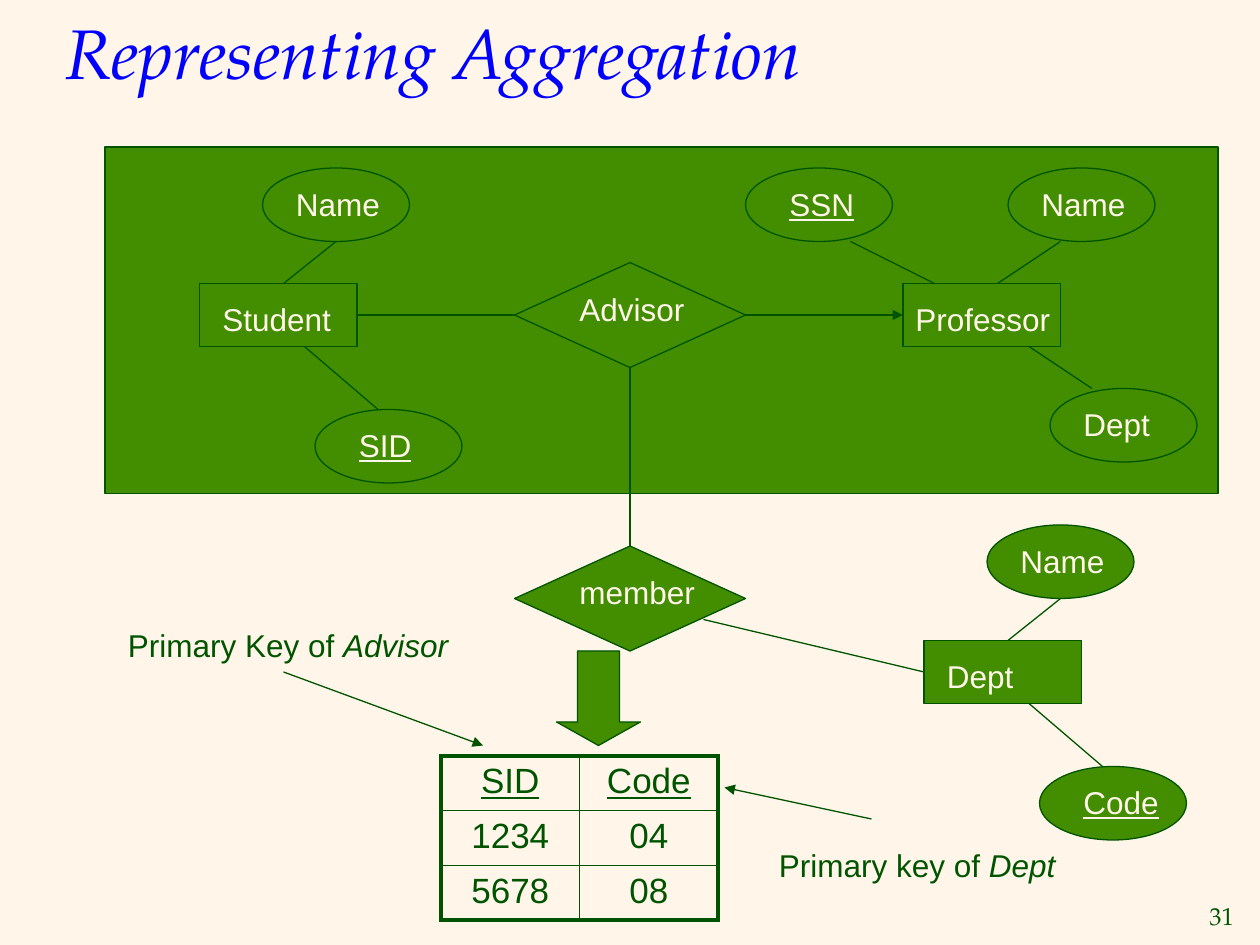
import pptx
import pptx.util
import pptx.dml.color
import pptx.enum.shapes
import pptx.enum.text
import pptx.oxml.ns
from lxml import etree

SCALE = 914400 // 120
CREAM, LEAF, DARK, BLUE = "FFF6E9", "438E00", "005400", "0000FF"
SHAPE = pptx.enum.shapes.MSO_SHAPE
ALIGN = pptx.enum.text.PP_ALIGN
MIDDLE = pptx.enum.text.MSO_ANCHOR.MIDDLE
ELLIPSE_W, ELLIPSE_H = 140, 70
ENTITY_W, ENTITY_H = 150, 60
DIAMOND_W, DIAMOND_H = 220, 100


def px(*values):
    return [pptx.util.Emu(v * SCALE) for v in values]


def rgb(value):
    return pptx.dml.color.RGBColor.from_string(value)


def add_run(p, text, size=18, color=CREAM, **fmt):
    r = p.add_run()
    r.text = text
    r.font.color.rgb = rgb(color)
    for name, value in {"name": "Arial", "size": pptx.util.Pt(size), **fmt}.items():
        setattr(r.font, name, value)


def add_label(s, x, y, w, text, h=48, **fmt):
    tf = s.shapes.add_textbox(*px(x, y, w, h)).text_frame
    tf.word_wrap = True
    add_run(tf.paragraphs[0], text, **fmt)
    return tf


def add_shape(s, kind, x, y, w, h):
    sp = s.shapes.add_shape(kind, *px(x, y, w, h))
    sp.shadow.inherit = False
    sp.fill.solid()
    sp.fill.fore_color.rgb = rgb(LEAF)
    sp.line.color.rgb = rgb(DARK)
    sp.line.width = pptx.util.Pt(0.75)
    return sp


def add_line(s, x1, y1, x2, y2, arrow=False):
    cx = s.shapes.add_connector(
        pptx.enum.shapes.MSO_CONNECTOR.STRAIGHT, *px(x1, y1, x2, y2))
    cx.line.color.rgb = rgb(DARK)
    cx.line.width = pptx.util.Pt(0.75)
    if arrow:
        etree.SubElement(cx.line._get_or_add_ln(),
                         pptx.oxml.ns.qn("a:tailEnd"), type="triangle")
    etree.SubElement(cx._element.spPr, pptx.oxml.ns.qn("a:effectLst"))
    return cx


def add_entity(s, x, y, name, indent, label_w, attributes):
    box = add_shape(s, SHAPE.RECTANGLE, x, y, ENTITY_W, ENTITY_H)
    add_label(s, x + indent, y + 10, label_w, name)
    for text, dx, dy, from_x, to_x, text_x, text_w, key in attributes:
        left, top = x + dx, y + dy
        add_shape(s, SHAPE.OVAL, left, top, ELLIPSE_W, ELLIPSE_H)
        add_label(s, left + text_x, top + 10, text_w, text, underline=key)
        ends = (top + ELLIPSE_H, y) if dy < 0 else (top, y + ENTITY_H)
        add_line(s, left + from_x, ends[0], x + to_x, ends[1])
    return box


def add_relationship(s, x, y, name, label_w):
    sp = add_shape(s, SHAPE.FLOWCHART_DECISION, x, y, DIAMOND_W, DIAMOND_H)
    add_label(s, x + 50, y + 20, label_w, name)
    return sp


def add_note(s, x, y, w, text, entity, arrow):
    tf = add_label(s, x, y, w, text, color=DARK)
    add_run(tf.paragraphs[0], entity, color=DARK, italic=True)
    add_line(s, *arrow, arrow=True)


def set_border(cell, side, width):
    ln = etree.SubElement(cell._tc.get_or_add_tcPr(), pptx.oxml.ns.qn("a:" + side),
                          w=str(pptx.util.Pt(width)))
    fill = etree.SubElement(ln, pptx.oxml.ns.qn("a:solidFill"))
    etree.SubElement(fill, pptx.oxml.ns.qn("a:srgbClr"), val=DARK)


def add_key_table(s, x, y, col_w, row_h, rows):
    n_rows, n_cols = len(rows), len(rows[0])
    table = s.shapes.add_table(
        n_rows, n_cols, *px(x, y, col_w * n_cols, row_h * n_rows)).table
    for col in table.columns:
        col.width = px(col_w)[0]
    for i, values in enumerate(rows):
        table.rows[i].height = px(row_h)[0]
        for j, value in enumerate(values):
            cell = table.cell(i, j)
            p = cell.text_frame.paragraphs[0]
            p.alignment = ALIGN.CENTER
            add_run(p, value, size=20, color=DARK, underline=i == 0, bold=False)
            outer = {"lnL": j == 0, "lnR": j == n_cols - 1,
                     "lnT": i == 0, "lnB": i == n_rows - 1}
            for side, is_outer in outer.items():
                set_border(cell, side, 2.25 if is_outer else 1)
            cell.fill.solid()
            cell.fill.fore_color.rgb = rgb(CREAM)


def add_title(s, x, y, w, h, text):
    sp = s.shapes.title
    sp.left, sp.top, sp.width, sp.height = px(x, y, w, h)
    tf = sp.text_frame
    tf.vertical_anchor = MIDDLE
    tf.paragraphs[0].alignment = ALIGN.LEFT
    add_run(tf.paragraphs[0], text, size=40, color=BLUE,
            name="TeX Gyre Pagella", italic=True)


def add_page_number(s, x, y, w, h, text):
    tf = add_label(s, x, y, w, text, h=h, size=14, color=DARK, name="TeX Gyre Pagella")
    tf.word_wrap = False
    tf.vertical_anchor = MIDDLE
    tf.paragraphs[0].alignment = ALIGN.RIGHT


def add_aggregation(s, x, y, w, h):
    add_shape(s, SHAPE.RECTANGLE, x, y, w, h)
    student = add_entity(s, x + 90, y + 130, "Student", 10, 130, [
        ("Name", 60, -110, 70, 80, 20, 110, False),
        ("SID", 110, 120, 60, 100, 30, 90, True)])
    professor = add_entity(s, x + 760, y + 130, "Professor", 0, 160, [
        ("SSN", -150, -110, 100, 30, 30, 100, True),
        ("Name", 100, -110, 50, 90, 20, 110, False),
        ("Dept", 140, 100, 40, 120, 20, 100, False)])
    advisor = add_relationship(s, x + 390, y + 110, "Advisor", 130)
    mid = y + 160
    left = add_line(s, x + 240, mid, x + 390, mid)
    left.begin_connect(student, 3)
    left.end_connect(advisor, 1)
    right = add_line(s, x + 610, mid, x + 760, mid, arrow=True)
    right.begin_connect(advisor, 3)
    right.end_connect(professor, 1)
    return advisor


def add_membership(s, x, y, advisor):
    member = add_relationship(s, x, y, "member", 150)
    dept = add_entity(s, x + 390, y + 90, "Dept", 10, 130, [
        ("Name", 60, -110, 70, 80, 20, 110, False),
        ("Code", 110, 120, 60, 100, 30, 110, True)])
    add_line(s, x + 390, y + 120, x + 180, y + 70).begin_connect(dept, 1)
    link = add_line(s, x + 110, y, x + 110, y - 170)
    link.begin_connect(member, 0)
    link.end_connect(advisor, 2)
    arrow = add_shape(s, SHAPE.DOWN_ARROW, x + 40, y + 100, 80, 90)
    arrow.adjustments[1] = 0.28


def main():
    prs = pptx.Presentation()
    prs.slide_width, prs.slide_height = px(1200, 900)
    s = prs.slides.add_slide(prs.slide_layouts[5])
    s.background.fill.solid()
    s.background.fill.fore_color.rgb = rgb(CREAM)
    add_title(s, 50, -26, 1080, 150, "Representing Aggregation")
    advisor = add_aggregation(s, 100, 140, 1060, 330)
    add_membership(s, 490, 520, advisor)
    add_key_table(s, 420, 720, 132, 52,
                  [("SID", "Code"), ("1234", "04"), ("5678", "08")])
    add_note(s, 110, 590, 340, "Primary Key of ", "Advisor", (270, 640, 460, 710))
    add_note(s, 730, 800, 290, "Primary key of ", "Dept", (830, 780, 690, 750))
    add_page_number(s, 1134, 852, 53, 40, "31")
    prs.save("out.pptx")


if __name__ == "__main__":
    main()
